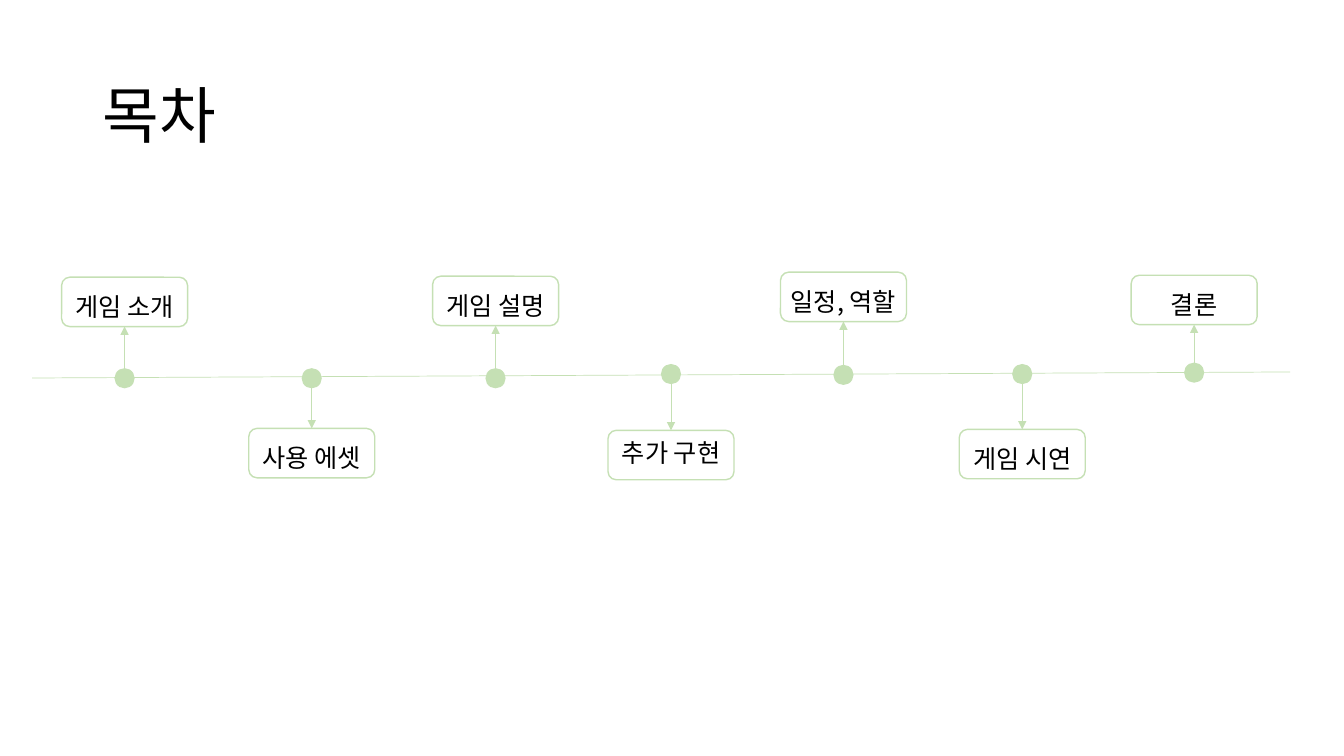
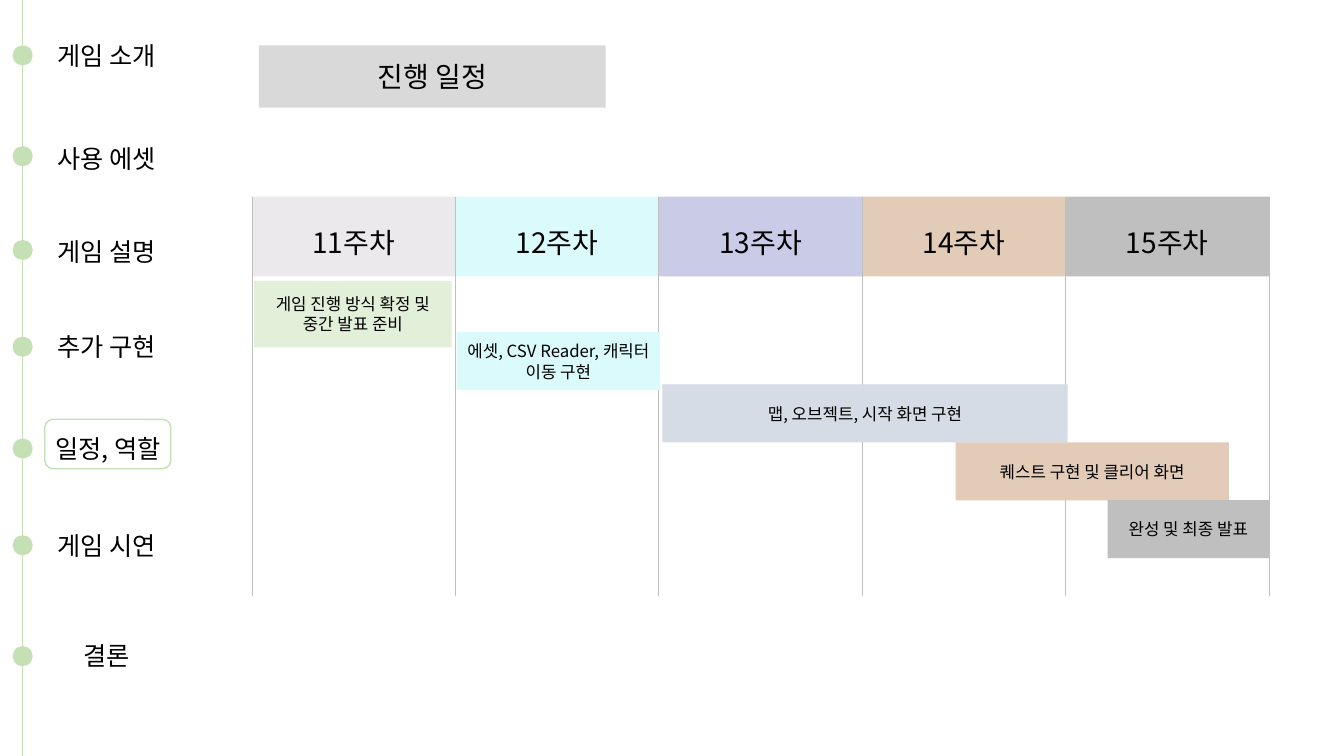
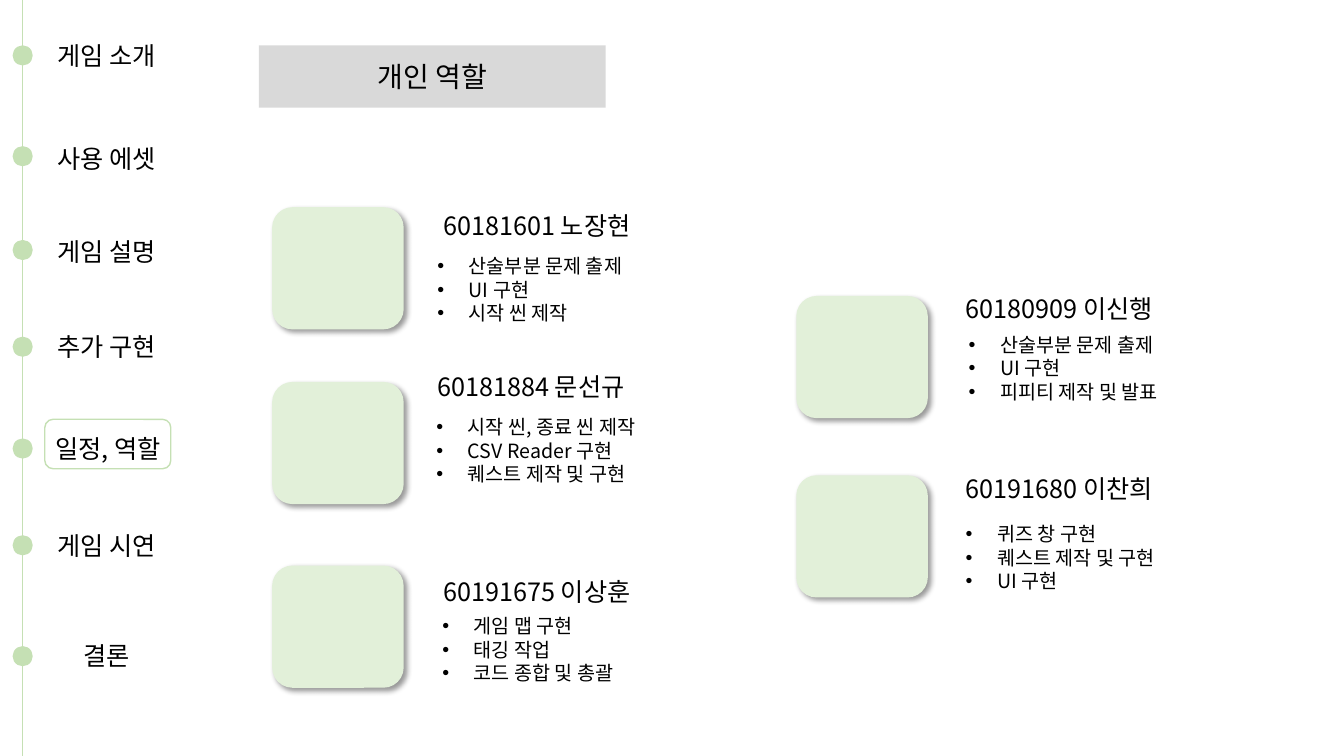
from pptx import Presentation
from pptx.dml.color import RGBColor
from pptx.enum.shapes import MSO_CONNECTOR, MSO_SHAPE
from pptx.enum.text import MSO_ANCHOR, PP_ALIGN
from pptx.oxml import parse_xml
from pptx.oxml.ns import nsdecls, qn
from pptx.util import Pt

RECT, ROUND, OVAL = MSO_SHAPE.RECTANGLE, MSO_SHAPE.ROUNDED_RECTANGLE, MSO_SHAPE.OVAL
STRAIGHT = MSO_CONNECTOR.STRAIGHT
LEFT, CENTER = PP_ALIGN.LEFT, PP_ALIGN.CENTER
TOP, MIDDLE = MSO_ANCHOR.TOP, MSO_ANCHOR.MIDDLE
CARD_TOP, CARD_BOTTOM = 0, 2

# Shared look
FONT = "Noto Sans CJK KR"
LINE_HEIGHT = 1.2
BLACK = RGBColor(0x00, 0x00, 0x00)
GREEN = RGBColor(0xC5, 0xE0, 0xB4)
PALE_GREEN = RGBColor(0xE2, 0xF0, 0xD9)
BAND_GRAY = RGBColor(0xD9, 0xD9, 0xD9)
GRAY = RGBColor(0xBF, 0xBF, 0xBF)
PEARL = RGBColor(0xEB, 0xE9, 0xEC)
CYAN = RGBColor(0xDA, 0xFA, 0xFC)
LILAC = RGBColor(0xC9, 0xCB, 0xE7)
TAN = RGBColor(0xE2, 0xCB, 0xB7)
STEEL = RGBColor(0xD6, 0xDC, 0xE5)
DOT = 14.4
CARD_WIDTH, CARD_HEIGHT = 90, 35.3
LABEL_DROP = 3

# Agenda: text, centre x, dot top, card top, text drop
AGENDA = [
    ("게임 소개", 89, 263, 198, LABEL_DROP),
    ("사용 에셋", 222.7, 263, 306, LABEL_DROP),
    ("게임 설명", 354, 263, 197.3, LABEL_DROP),
    ("추가 구현", 479.3, 260, 307.4, -2),
    ("일정, 역할", 602.5, 260.6, 194.4, LABEL_DROP),
    ("게임 시연", 730.2, 260, 306.7, LABEL_DROP),
    ("결론", 853, 259, 196.6, LABEL_DROP),
]

# Sidebar: dot top and label top for each agenda entry
SIDEBAR = [(32.4, 25.2), (104.4, 98.6), (171.4, 165.6), (240.5, 233.3),
           (313.2, 305.3), (382.3, 375.1), (461.5, 453.6)]
CURRENT = 4

# Schedule
WEEKS = [("11주차", PEARL), ("12주차", CYAN), ("13주차", LILAC),
         ("14주차", TAN), ("15주차", GRAY)]
WEEK_LEFT, WEEK_TOP, WEEK_WIDTH, WEEK_HEIGHT = 180, 140.4, 145.3, 57
GRID_BOTTOM = 425.5
TASKS = [  # text, left, top, width, height, colour
    ("게임 진행 방식 확정 및 중간 발표 준비", 181.4, 200.7, 141.3, 47.5, PALE_GREEN),
    ("에셋, CSV Reader, 캐릭터 이동 구현", 326.2, 237.3, 145.3, 41.4, CYAN),
    ("맵, 오브젝트, 시작 화면 구현", 473.2, 274.5, 289.4, 41.4, STEEL),
    ("퀘스트 구현 및 클리어 화면", 682.6, 316, 195.1, 41.4, TAN),
    ("완성 및 최종 발표", 791.2, 357.2, 115.3, 41.4, GRAY),
]

# Team: photo corner, name, name corner, duties, duties corner
PHOTO_WIDTH, PHOTO_HEIGHT = 94, 87.3
TEAM = [
    ((194.4, 148), "60181601 노장현", (309.6, 147),
     ["산술부분 문제 출제", "UI 구현", "시작 씬 제작"], (305.3, 178)),
    ((194.4, 272.8), "60181884 문선규", (305.3, 262),
     ["시작 씬, 종료 씬 제작", "CSV Reader 구현", "퀘스트 제작 및 구현"], (304.6, 293)),
    ((194.4, 404), "60191675 이상훈", (309.6, 408.3),
     ["게임 맵 구현", "태깅 작업", "코드 종합 및 총괄"], (308.9, 435)),
    ((568.8, 211.4), "60180909 이신행", (682.6, 206),
     ["산술부분 문제 출제", "UI 구현", "피피티 제작 및 발표"], (684.7, 234)),
    ((568.8, 339.5), "60191680 이찬희", (682.6, 334.8),
     ["퀴즈 창 구현", "퀘스트 제작 및 구현", "UI 구현"], (682.6, 369.4)),
]


def write(box, lines, size, align=CENTER, anchor=MIDDLE, margins=(7.2, 3.6, 7.2, 3.6), bullet=False):
    """Fill a shape or text box; margins run left, top, right, bottom."""
    frame = box.text_frame
    frame.word_wrap = True
    frame.vertical_anchor = anchor
    for side, margin in zip(("left", "top", "right", "bottom"), margins):
        setattr(frame, f"margin_{side}", Pt(margin))
    for index, line in enumerate(lines):
        para = frame.add_paragraph() if index else frame.paragraphs[0]
        para.alignment = align
        para.line_spacing = Pt(size * LINE_HEIGHT)
        span = para.add_run()
        span.text = line
        for name, value in {"size": Pt(size), "name": FONT}.items():
            setattr(span.font, name, value)
        span.font.color.rgb = BLACK
        span.font._element.append(
            parse_xml(f'<a:ea {nsdecls("a")} typeface="{FONT}"/>'))
        if bullet:
            props = para._p.get_or_add_pPr()
            props.set("marL", str(Pt(22.5)))
            props.set("indent", str(-Pt(22.5)))
            props.append(parse_xml(f'<a:buFont {nsdecls("a")} typeface="Arial"/>'))
            props.append(parse_xml(f'<a:buChar {nsdecls("a")} char="•"/>'))


def add_shape(page, kind, left, top, width, height, fill=None, line=None):
    shape = page.shapes.add_shape(kind, Pt(left), Pt(top), Pt(width), Pt(height))
    shape.shadow.inherit = False
    if fill is None:
        shape.fill.background()
    else:
        shape.fill.solid()
        shape.fill.fore_color.rgb = fill
    if line is None:
        shape.line.fill.background()
    else:
        shape.line.color.rgb = line
        shape.line.width = Pt(1)
    return shape


def add_text(page, lines, left, top, width, height, size, **style):
    box = page.shapes.add_textbox(Pt(left), Pt(top), Pt(width), Pt(height))
    write(box, lines, size, **style)


def add_line(page, start, end, color, arrow=False):
    line = page.shapes.add_connector(STRAIGHT, *map(Pt, start + end))
    line.line.color.rgb = color
    line.line.width = Pt(0.5)
    if arrow:
        line.line._get_or_add_ln().append(
            parse_xml(f'<a:tailEnd {nsdecls("a")} type="triangle"/>'))
    line._element.spPr.append(parse_xml(f'<a:effectLst {nsdecls("a")}/>'))
    return line


def add_card(page, text, left, top, drop):
    card = add_shape(page, ROUND, left, top, CARD_WIDTH, CARD_HEIGHT, line=GREEN)
    write(card, [text], 18, margins=(0, max(2 * drop, 0), 0, max(-2 * drop, 0)))
    return card


def add_photo(page, left, top):
    photo = add_shape(page, ROUND, left, top, PHOTO_WIDTH, PHOTO_HEIGHT, PALE_GREEN)
    photo._element.spPr.find(qn("a:effectLst")).append(parse_xml(
        f'<a:outerShdw {nsdecls("a")} blurRad="{Pt(4)}" dist="{Pt(3)}" dir="2700000" '
        'algn="tl" rotWithShape="0"><a:srgbClr val="000000"><a:alpha val="40000"/>'
        '</a:srgbClr></a:outerShdw>'))


def add_page(deck):
    return deck.slides.add_slide(deck.slide_layouts[6])


def add_section_page(deck, heading):
    """Page with the agenda sidebar and a heading band."""
    page = add_page(deck)
    add_line(page, (15.8, 0), (15.8, 540), GREEN)
    for index, (entry, (dot_top, label_top)) in enumerate(zip(AGENDA, SIDEBAR)):
        add_shape(page, OVAL, 9, dot_top, DOT, DOT, GREEN)
        if index == CURRENT:
            add_card(page, entry[0], 32, 299.5, LABEL_DROP)
        else:
            add_text(page, [entry[0]], 31, label_top, 90.7, 28.8, 18, anchor=TOP)
    band = add_shape(page, RECT, 185, 32.4, 247.7, 44.6, BAND_GRAY)
    write(band, [heading], 20)
    return page


def build_contents(deck):
    page = add_page(deck)
    add_text(page, ["목차"], 66.2, 28.8, 828, 104.4, 44, align=LEFT)
    add_line(page, (23, 270), (921.6, 265.7), GREEN)
    for text, center, dot_top, card_top, drop in AGENDA:
        add_shape(page, OVAL, center - DOT / 2, dot_top, DOT, DOT, GREEN)
        card = add_card(page, text, center - CARD_WIDTH / 2, card_top, drop)
        dot_center = (center, dot_top + DOT / 2)
        arrow = add_line(page, dot_center, (center, card_top), GREEN, arrow=True)
        arrow.end_connect(card, CARD_BOTTOM if card_top < dot_top else CARD_TOP)


def build_schedule(deck):
    page = add_section_page(deck, "진행 일정")
    for index, (week, color) in enumerate(WEEKS):
        header = add_shape(page, RECT, WEEK_LEFT + index * WEEK_WIDTH, WEEK_TOP,
                           WEEK_WIDTH, WEEK_HEIGHT, color)
        write(header, [week], 20, margins=(0, 8, 0, 0))
    for index in range(len(WEEKS) + 1):
        x = WEEK_LEFT + index * WEEK_WIDTH
        add_line(page, (x, WEEK_TOP), (x, GRID_BOTTOM), GRAY)
    for text, left, top, width, height, color in TASKS:
        bar = add_shape(page, RECT, left, top, width, height, color)
        write(bar, [text], 12)


def build_team(deck):
    page = add_section_page(deck, "개인 역할")
    for photo, name, name_corner, duties, duties_corner in TEAM:
        add_photo(page, *photo)
        add_text(page, [name], *name_corner, 227, 28.8, 18, align=LEFT, anchor=TOP)
        add_text(page, duties, *duties_corner, 226, 58.3, 14,
                 align=LEFT, anchor=TOP, bullet=True)


def main():
    deck = Presentation()
    deck.slide_width, deck.slide_height = Pt(960), Pt(540)
    build_contents(deck)
    build_schedule(deck)
    build_team(deck)
    deck.save("out.pptx")


if __name__ == "__main__":
    main()
